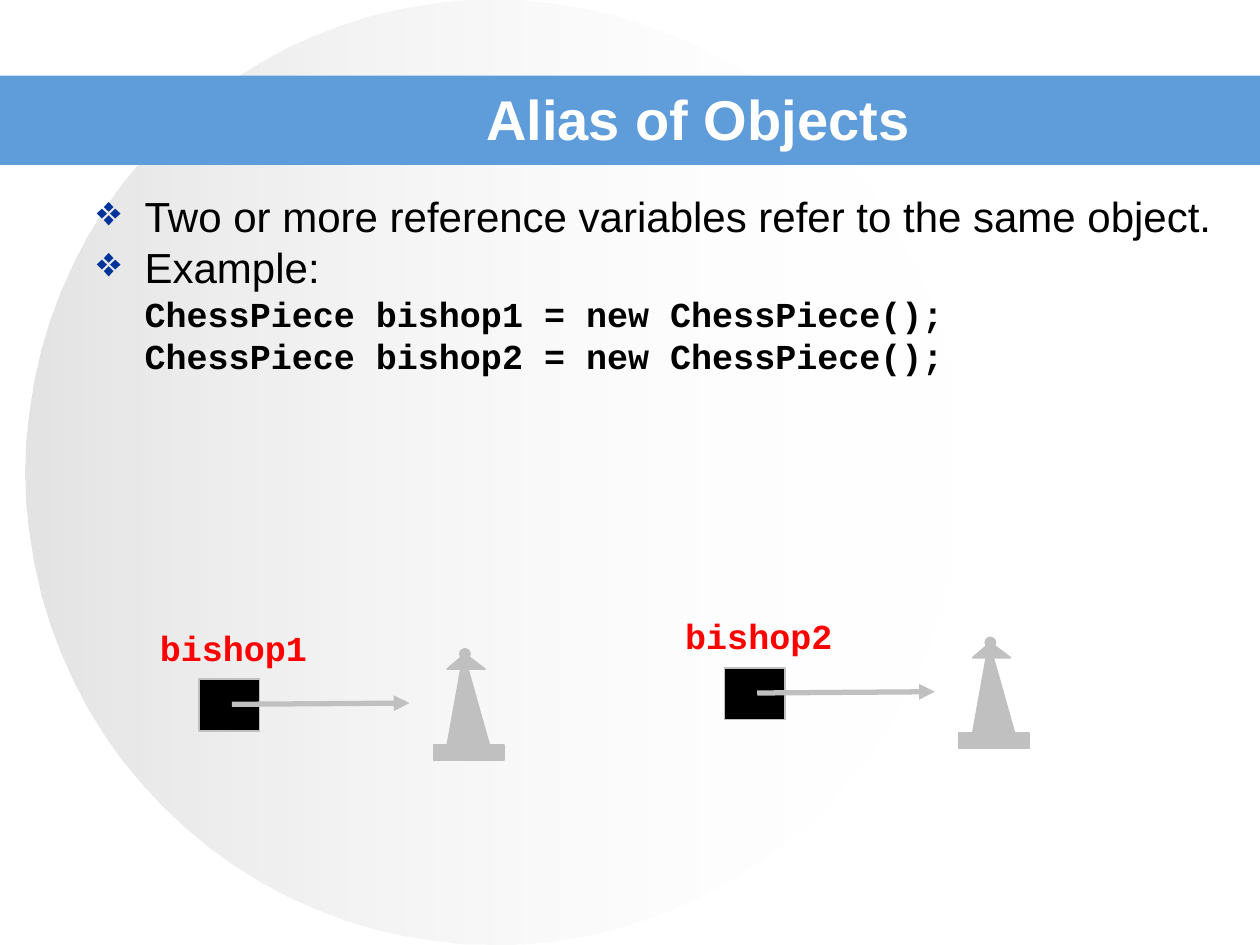
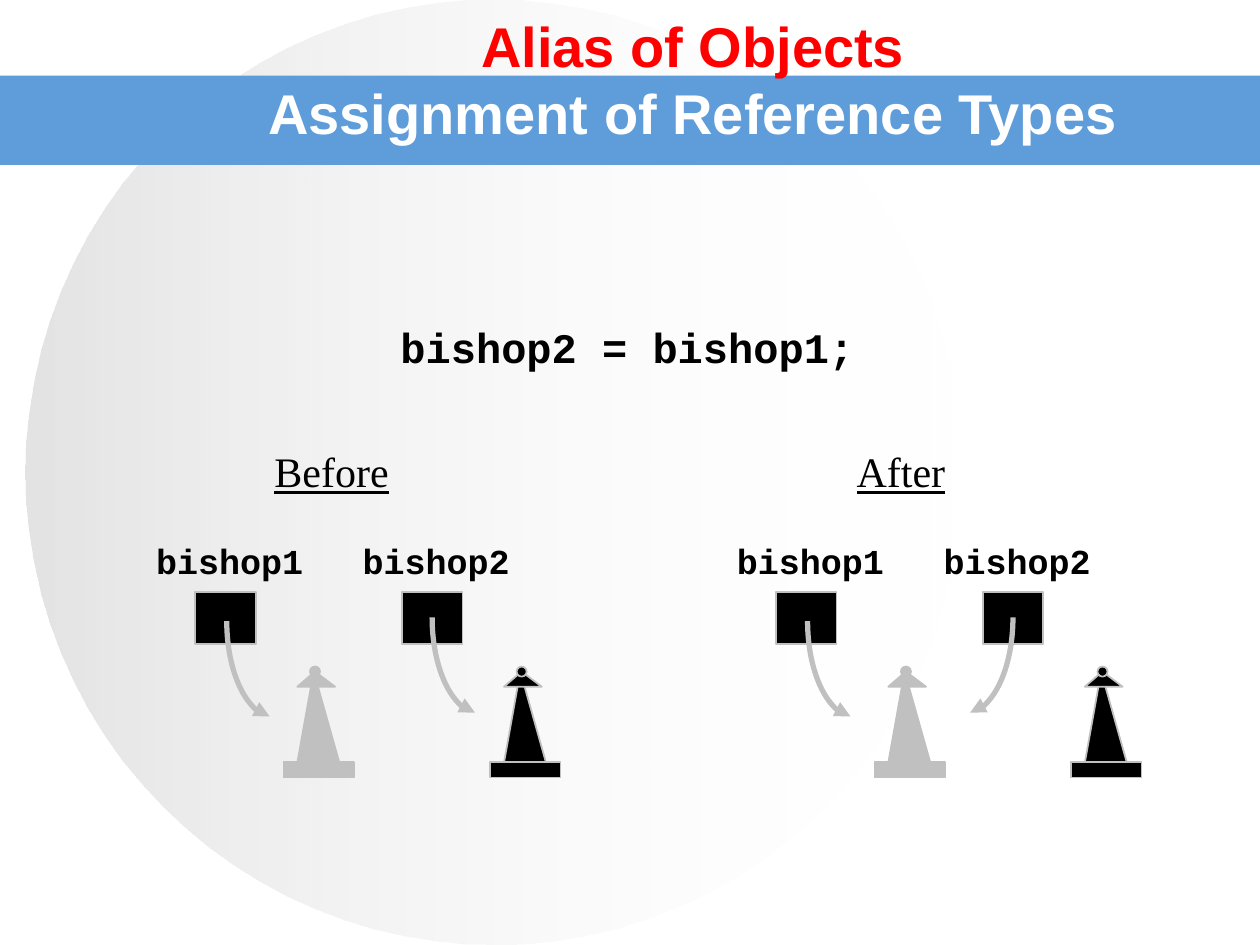
from dataclasses import dataclass

import pptx
import pptx.dml.color
import pptx.enum.dml
import pptx.enum.shapes
import pptx.enum.text
import pptx.oxml.ns
import pptx.util
from lxml import etree

Inches = pptx.util.Inches
Pt = pptx.util.Pt
SHAPE = pptx.enum.shapes.MSO_SHAPE
qn = pptx.oxml.ns.qn


@dataclass(frozen=True)
class Theme:
    white: str = "FFFFFF"
    black: str = "000000"
    gray: str = "C0C0C0"
    red: str = "FF0000"
    band: str = "5E9CDA"
    bullet: str = "003399"
    sans: str = "Arial"
    serif: str = "Times New Roman"
    mono: str = "Courier New"
    title_size: int = 32
    body_size: int = 24
    code_size: int = 20
    outline: int = 1
    arrow: int = 3


THEME = Theme()

# Content: title lines are (text, colour), title places are left, top, width, height
ALIAS_TITLE = [("Alias of Objects", THEME.white)]
ALIAS_TITLE_BOX = (2.25, 0.67, 6.58, 0.53)
BULLETS = ["Two or more reference variables refer to the same object.", "Example:"]
CODE_LINES = [
    "ChessPiece bishop1 = new ChessPiece();",
    "ChessPiece bishop2 = new ChessPiece();",
]
SEPARATE_REFERENCES = [("bishop1", 1.58, 5.39), ("bishop2", 5.75, 5.30)]

ASSIGNMENT_TITLE = [
    ("Alias of Objects", THEME.red),
    ("Assignment of Reference Types", THEME.white),
]
ASSIGNMENT_TITLE_BOX = (1, 0, 9, 1.25)
ASSIGNMENT = "bishop2 = bishop1;"
# Each state: heading, its left and width, first variable's left,
# lefts of the gray and black pieces, side to which bishop2's arrow bends
STATES = [
    ("Before", 2.08, 1.11, 1.55, (2.25, 3.89), "right"),
    ("After", 6.70, 0.91, 6.16, (6.94, 8.50), "left"),
]
VARIABLE_GAP = 1.64
VARIABLE_TOP = 4.70
PIECE_TOP = 5.29


def rgb(colour):
    return pptx.dml.color.RGBColor.from_string(colour)


def add_run(paragraph, text, size, font_name, colour, bold=False, underline=False):
    run = paragraph.add_run()
    run.text = text
    font = run.font
    font.size, font.name, font.bold = Pt(size), font_name, bold
    font.color.rgb = rgb(colour)
    if underline:
        font.underline = True


def add_label(shapes, text, place, size, font_name, colour, **style):
    box = shapes.add_textbox(*map(Inches, place))
    box.text_frame.word_wrap = False
    add_run(box.text_frame.paragraphs[0], text, size, font_name, colour, **style)


def paint(shape, fill, line=None):
    shape.shadow.inherit = False
    shape.fill.solid()
    shape.fill.fore_color.rgb = rgb(fill)
    if line:
        shape.line.color.rgb = rgb(line)
        shape.line.width = Pt(THEME.outline)
    else:
        shape.line.fill.background()


def add_filled(shapes, kind, place, fill, line=None):
    shape = shapes.add_shape(kind, *map(Inches, place))
    paint(shape, fill, line)
    return shape


def style_arrow(line, end):
    """Make the line thick and gray, with a triangle at headEnd or tailEnd."""
    line.color.rgb = rgb(THEME.gray)
    line.width = Pt(THEME.arrow)
    etree.SubElement(line._get_or_add_ln(), qn("a:" + end), type="triangle")


def add_straight_arrow(shapes, start, finish):
    connector = shapes.add_connector(
        pptx.enum.shapes.MSO_CONNECTOR.STRAIGHT, *map(Inches, start + finish))
    style_arrow(connector.line, "tailEnd")
    properties = connector.element.find(qn("p:spPr"))
    etree.SubElement(properties, qn("a:effectLst"))


def add_curved_arrow(shapes, left, top, side):
    """Bend down from (left, top) towards the given side, as a quarter ellipse."""
    radius_x, radius_y = 0.38, 0.76
    to_right = side == "right"
    ellipse_left = left if to_right else left - 2 * radius_x
    arc = shapes.add_shape(SHAPE.ARC, *map(Inches, (
        ellipse_left, top - radius_y, 2 * radius_x, 2 * radius_y)))
    arc.shadow.inherit = False
    arc.fill.background()
    for index, degrees in enumerate((93, 180) if to_right else (0, 87)):
        arc.adjustments[index] = degrees * 0.6
    style_arrow(arc.line, "headEnd" if to_right else "tailEnd")


def add_variable(shapes, name, left, top, colour):
    add_filled(shapes, SHAPE.RECTANGLE, (left, top, 0.48, 0.41), THEME.black, THEME.gray)
    add_label(shapes, name, (left - 0.41, top - 0.47, 1.37, 0.43),
              THEME.code_size, THEME.mono, colour, bold=True)


def add_piece(shapes, left, top, fill):
    body = [(0.24, 0.04), (0.10, 0.82), (0.46, 0.82)]
    hat = [(0.11, 0.16), (0.41, 0.16), (0.25, 0.04)]
    for outline in (body, hat):
        points = [(Inches(left + x), Inches(top + y)) for x, y in outline]
        builder = shapes.build_freeform(*points[0])
        builder.add_line_segments(points[1:], close=True)
        paint(builder.convert_to_shape(), fill, THEME.gray)
    add_filled(shapes, SHAPE.RECTANGLE, (left, top + 0.76, 0.56, 0.12), fill, THEME.gray)
    add_filled(shapes, SHAPE.OVAL, (left + 0.21, top, 0.08, 0.08), fill, THEME.gray)


def decorate_layout(layout, slide):
    """Draw the disc and title band on the slide, then move them to its layout."""
    disc = add_filled(slide.shapes, SHAPE.OVAL, (0.2, 0, 7.44, 7.5), THEME.gray)
    disc.fill.gradient()
    disc.fill.gradient_angle = 0
    colours = ((THEME.gray, 44), (THEME.white, 0))
    for stop, (colour, opacity) in zip(disc.fill.gradient_stops, colours):
        stop.color.rgb = rgb(colour)
    stops = disc.element.iter(qn("a:gs"))
    for stop, (colour, opacity) in zip(stops, colours):
        etree.SubElement(stop[0], qn("a:alpha"), val=str(opacity * 1000))
    band = add_filled(slide.shapes, SHAPE.RECTANGLE, (0, 0.6, 10, 0.71), THEME.band)
    for index, shape in enumerate((disc, band), start=2):
        layout.shapes.element.insert(index, shape.element)


def set_title(slide, lines, place):
    title = slide.shapes.title
    title.left, title.top, title.width, title.height = map(Inches, place)
    frame = title.text_frame
    frame.auto_size = pptx.enum.text.MSO_AUTO_SIZE.NONE
    frame.vertical_anchor = pptx.enum.text.MSO_ANCHOR.MIDDLE
    paragraph = frame.paragraphs[0]
    paragraph.alignment = pptx.enum.text.PP_ALIGN.CENTER
    for index, (text, colour) in enumerate(lines):
        if index:
            paragraph.add_line_break()
        add_run(paragraph, text, THEME.title_size, THEME.sans, colour, bold=True)


def add_body(slide):
    box = slide.shapes.add_textbox(*map(Inches, (0.67, 1.54, 9.13, 1.5)))
    frame = box.text_frame
    frame.word_wrap = True
    indent = Inches(0.38)
    for index, text in enumerate(BULLETS + CODE_LINES):
        is_bullet = index < len(BULLETS)
        paragraph = frame.add_paragraph() if index else frame.paragraphs[0]
        properties = paragraph._p.get_or_add_pPr()
        properties.set("marL", str(indent))
        properties.set("indent", str(-indent if is_bullet else 0))
        if is_bullet:
            colour = etree.SubElement(properties, qn("a:buClr"))
            etree.SubElement(colour, qn("a:srgbClr"), val=THEME.bullet)
            etree.SubElement(properties, qn("a:buChar"), char="❖")
            add_run(paragraph, text, THEME.body_size, THEME.sans, THEME.black)
        else:
            add_run(paragraph, text, THEME.code_size, THEME.mono, THEME.black, bold=True)
        paragraph.line_spacing = 0.8
        if index:
            paragraph.space_before = Pt(6 if is_bullet else 5)


def fill_alias_slide(slide):
    set_title(slide, ALIAS_TITLE, ALIAS_TITLE_BOX)
    add_body(slide)
    for name, left, top in SEPARATE_REFERENCES:
        shapes = slide.shapes.add_group_shape().shapes
        add_variable(shapes, name, left, top, THEME.red)
        add_piece(shapes, left + 1.86, top - 0.24, THEME.gray)
        add_straight_arrow(shapes, (left + 0.26, top + 0.2), (left + 1.67, top + 0.19))


def fill_assignment_slide(slide):
    set_title(slide, ASSIGNMENT_TITLE, ASSIGNMENT_TITLE_BOX)
    for heading, heading_left, width, left, piece_lefts, second_side in STATES:
        shapes = slide.shapes.add_group_shape().shapes
        add_label(shapes, heading, (heading_left, 3.49, width, 0.5),
                  THEME.body_size, THEME.serif, THEME.black, underline=True)
        second_left = left + VARIABLE_GAP
        add_variable(shapes, "bishop1", left, VARIABLE_TOP, THEME.black)
        add_variable(shapes, "bishop2", second_left, VARIABLE_TOP, THEME.black)
        for piece_left, fill in zip(piece_lefts, (THEME.gray, THEME.black)):
            add_piece(shapes, piece_left, PIECE_TOP, fill)
        add_curved_arrow(shapes, left + 0.25, VARIABLE_TOP + 0.23, "right")
        add_curved_arrow(shapes, second_left + 0.24, VARIABLE_TOP + 0.2, second_side)
    add_label(slide.shapes, ASSIGNMENT, (3.08, 2.5, 3.8, 0.5),
              THEME.body_size, THEME.mono, THEME.black, bold=True)


def main():
    presentation = pptx.Presentation()
    presentation.slide_width, presentation.slide_height = Inches(10), Inches(7.5)
    layout = presentation.slide_layouts.get_by_name("Title Only")
    alias_slide = presentation.slides.add_slide(layout)
    decorate_layout(layout, alias_slide)
    fill_alias_slide(alias_slide)
    fill_assignment_slide(presentation.slides.add_slide(layout))
    presentation.save("out.pptx")


if __name__ == "__main__":
    main()
